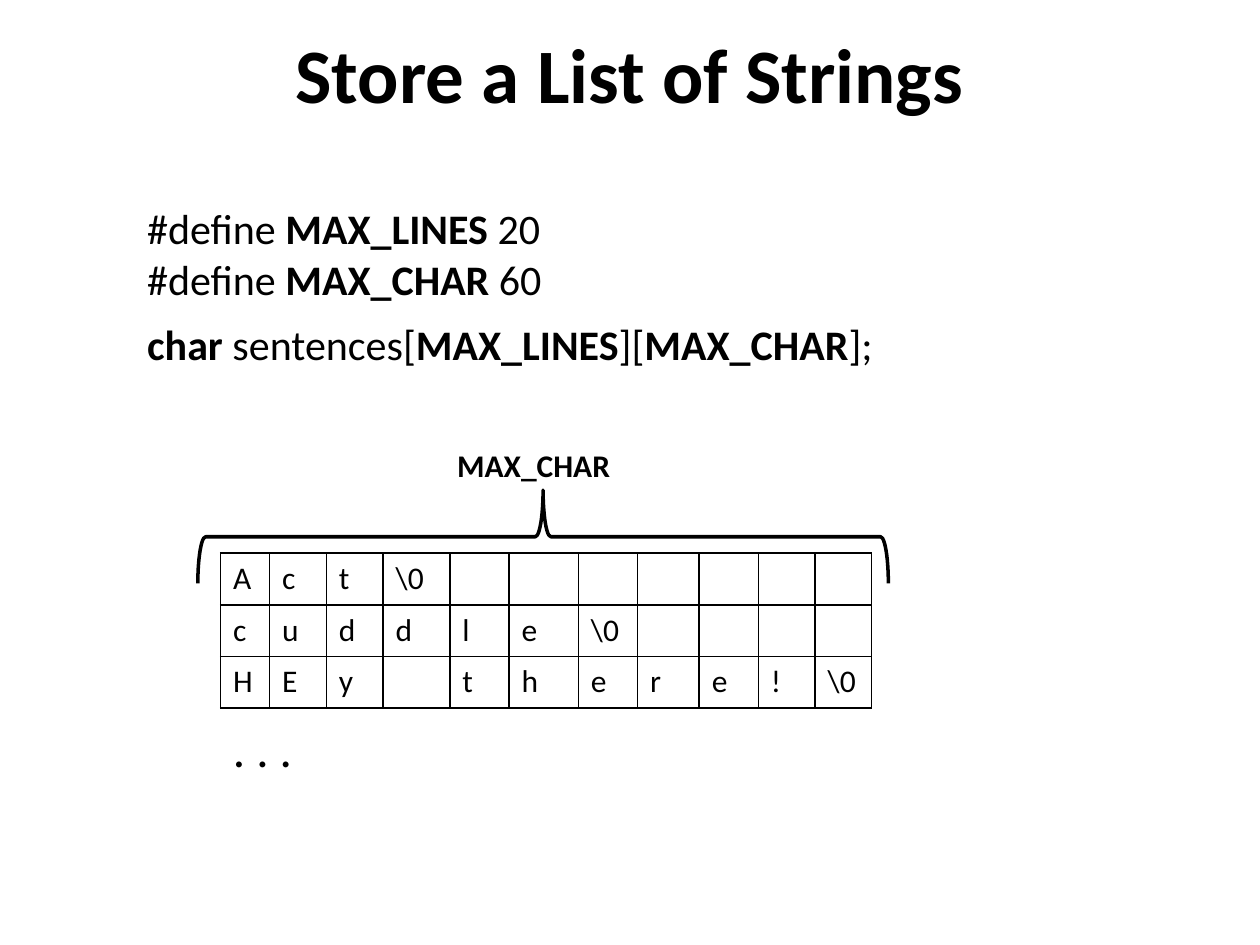
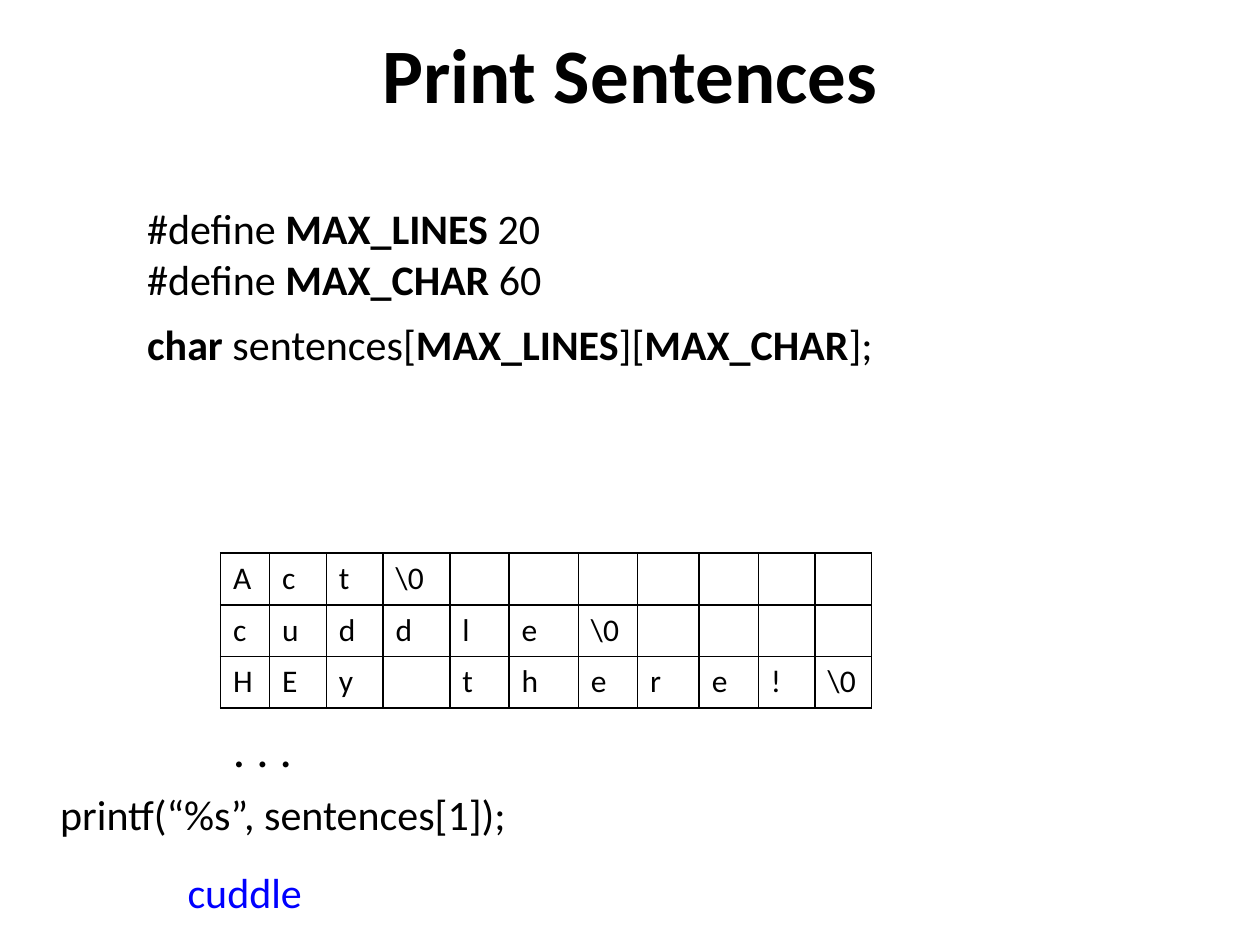
from dataclasses import dataclass

from lxml.etree import SubElement
from pptx import Presentation
from pptx.dml.color import RGBColor
from pptx.enum.shapes import MSO_SHAPE
from pptx.enum.text import MSO_ANCHOR, MSO_AUTO_SIZE, PP_ALIGN
from pptx.oxml.ns import qn
from pptx.slide import Slide
from pptx.table import _Cell
from pptx.text.text import _Paragraph
from pptx.util import Inches, Pt


@dataclass(frozen=True)
class Theme:
    font: str = "Calibri"
    ink: RGBColor = RGBColor(0x00, 0x00, 0x00)
    output: RGBColor = RGBColor(0x00, 0x00, 0xFF)
    title_size: int = 44
    dots_size: int = 28
    code_size: int = 24
    cell_size: int = 18
    border: int = 1
    brace: int = 2


@dataclass(frozen=True)
class Note:
    """A text block; parts between asterisks are bold."""
    lines: tuple[str, ...]
    left: float
    top: float
    width: float
    height: float
    size: int
    color: RGBColor
    wrap: bool = True


THEME = Theme()
TERMINATOR = "\\0"
SENTENCES = ("Act", "cuddle", "HEy there!")
TABLE_LEFT, TABLE_TOP = 1.75, 4.39
COLUMN_WIDTHS = (0.39, 0.45, 0.45, 0.53, 0.47, 0.55, 0.47, 0.49, 0.47, 0.45, 0.45)
ROW_HEIGHT = 0.41

SHARED_NOTES = (
    Note(("*char *sentences[*MAX_LINES*][*MAX_CHAR*];",),
         1.07, 2.48, 6.6, 0.5, THEME.code_size, THEME.ink),
    Note(("#define *MAX_LINES *20", "#define *MAX_CHAR *60"),
         1.07, 1.56, 5, 0.91, THEME.code_size, THEME.ink),
    Note((". . .",), TABLE_LEFT, 5.65, 0.68, 0.57, THEME.dots_size, THEME.ink, wrap=False),
)
WIDTH_LABEL = Note(("*MAX_CHAR*",), 3.53, 3.49, 1.43, 0.4,
                   THEME.cell_size, THEME.ink, wrap=False)
PRINT_CALL = Note(("printf(“%s”, sentences[1]);",),
                  0.38, 6.21, 8.14, 0.5, THEME.code_size, THEME.ink)
PRINTED = Note(("cuddle",), 1.39, 6.83, 5, 0.5, THEME.code_size, THEME.output)


def write(paragraph: _Paragraph, text: str, size: int, color: RGBColor) -> None:
    """Add runs to the paragraph, bold between asterisks."""
    for index, part in enumerate(text.split("*")):
        if part:
            run = paragraph.add_run()
            run.text = part
            formats = {"name": THEME.font, "size": Pt(size), "bold": index % 2 == 1}
            for attribute, value in formats.items():
                setattr(run.font, attribute, value)
            run.font.color.rgb = color


def add_note(slide: Slide, note: Note) -> None:
    box = slide.shapes.add_textbox(Inches(note.left), Inches(note.top),
                                   Inches(note.width), Inches(note.height))
    frame = box.text_frame
    frame.word_wrap = note.wrap
    frame.auto_size = MSO_AUTO_SIZE.SHAPE_TO_FIT_TEXT
    for index, line in enumerate(note.lines):
        paragraph = frame.add_paragraph() if index else frame.paragraphs[0]
        write(paragraph, line, note.size, note.color)


def set_title(slide: Slide, text: str) -> None:
    title = slide.shapes.title
    place = {"left": Inches(0), "top": Inches(0.07),
             "width": Inches(10), "height": Inches(1.02)}
    for attribute, value in place.items():
        setattr(title, attribute, value)
    title.text_frame.vertical_anchor = MSO_ANCHOR.MIDDLE
    paragraph = title.text_frame.paragraphs[0]
    paragraph.alignment = PP_ALIGN.CENTER
    write(paragraph, f"*{text}*", THEME.title_size, THEME.ink)


def draw_borders(cell: _Cell) -> None:
    properties = cell._tc.get_or_add_tcPr()
    for side in ("a:lnL", "a:lnR", "a:lnT", "a:lnB"):
        line = SubElement(properties, qn(side), w=str(Pt(THEME.border)))
        fill = SubElement(line, qn("a:solidFill"))
        SubElement(fill, qn("a:srgbClr"), val=str(THEME.ink))


def add_sentence_table(slide: Slide) -> None:
    """Draw one character per cell, each sentence closed by the terminator."""
    table = slide.shapes.add_table(
        len(SENTENCES), len(COLUMN_WIDTHS), Inches(TABLE_LEFT), Inches(TABLE_TOP),
        Inches(sum(COLUMN_WIDTHS)), Inches(ROW_HEIGHT * len(SENTENCES))).table
    table.first_row = table.horz_banding = False
    for column, width in zip(table.columns, COLUMN_WIDTHS):
        column.width = Inches(width)
    for row, sentence in zip(table.rows, SENTENCES):
        row.height = Inches(ROW_HEIGHT)
        characters = [*sentence, TERMINATOR]
        characters += [""] * (len(COLUMN_WIDTHS) - len(characters))
        for cell, character in zip(row.cells, characters):
            draw_borders(cell)
            cell.fill.background()
            write(cell.text_frame.paragraphs[0], character.strip(),
                  THEME.cell_size, THEME.ink)


def add_width_brace(slide: Slide) -> None:
    brace = slide.shapes.add_shape(MSO_SHAPE.LEFT_BRACE, Inches(3.94), Inches(1.52),
                                   Inches(0.74), Inches(5.48))
    brace.rotation = 90
    brace.shadow.inherit = False
    brace.fill.background()
    brace.line.color.rgb = THEME.ink
    brace.line.width = Pt(THEME.brace)


def add_sentences_slide(deck: Presentation, title: str, *notes: Note) -> Slide:
    slide = deck.slides.add_slide(deck.slide_layouts.get_by_name("Title Only"))
    set_title(slide, title)
    add_sentence_table(slide)
    for note in (*SHARED_NOTES, *notes):
        add_note(slide, note)
    return slide


def main() -> None:
    deck = Presentation()
    deck.slide_width, deck.slide_height = Inches(10), Inches(7.5)
    storing = add_sentences_slide(deck, "Store a List of Strings", WIDTH_LABEL)
    add_width_brace(storing)
    add_sentences_slide(deck, "Print Sentences", PRINT_CALL, PRINTED)
    deck.save("out.pptx")


if __name__ == "__main__":
    main()
